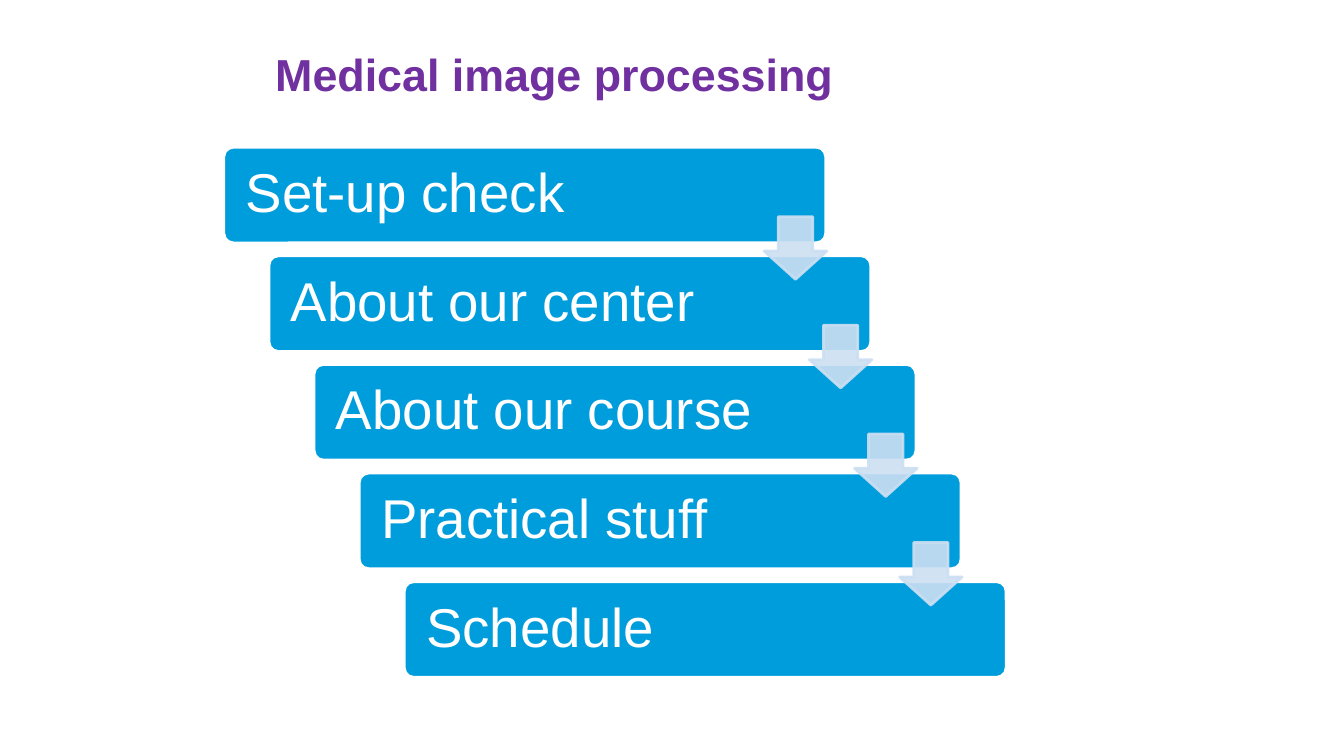
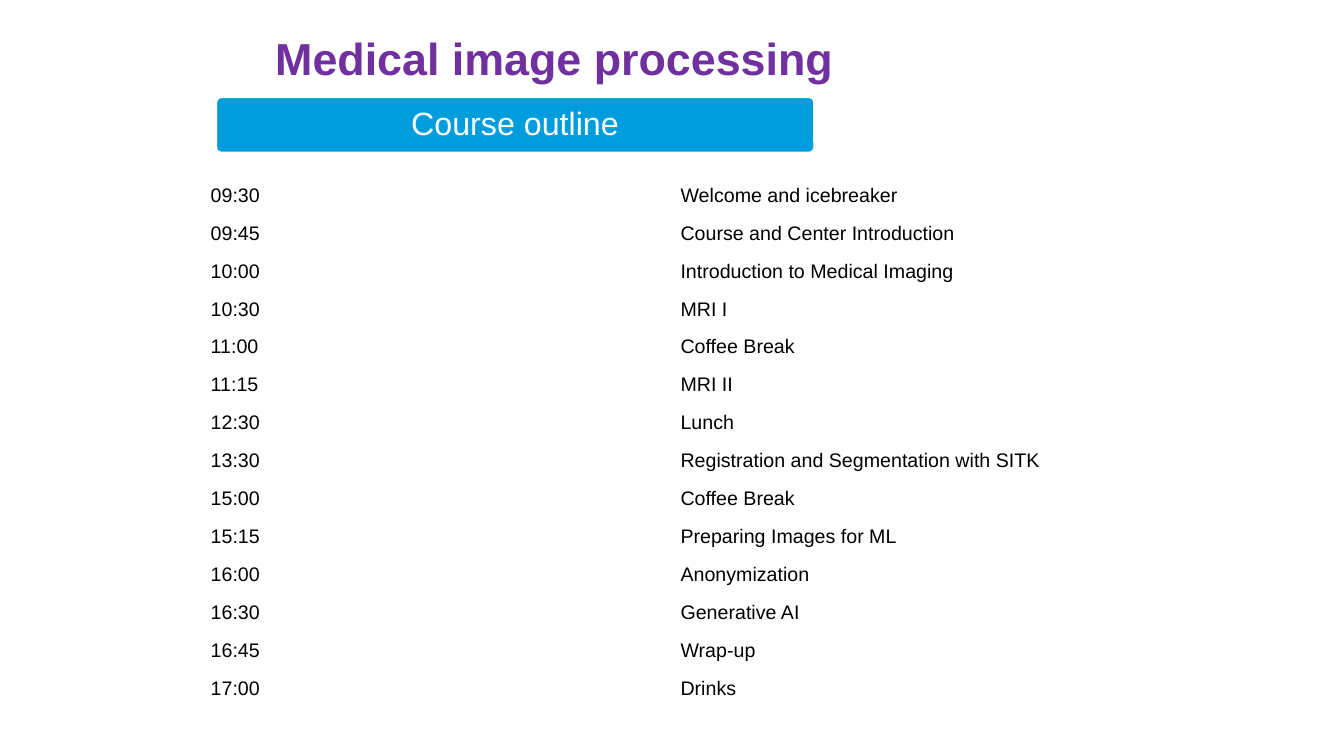
import pptx
import pptx.dml.color
import pptx.enum.shapes
import pptx.enum.text
import pptx.oxml
import pptx.oxml.ns
import pptx.util

SCALE = 9144
FONT = "Arial"
PURPLE, BLUE, PALE, WHITE, BLACK = "7030A0", "009DDD", "CCDFF2", "FFFFFF", "000000"
SHAPE = pptx.enum.shapes.MSO_SHAPE
ALIGN = pptx.enum.text.PP_ALIGN
ANCHOR = pptx.enum.text.MSO_ANCHOR

TITLE = "Medical image processing"
TOPICS = ["Set-up check", "About our center", "About our course", "Practical stuff", "Schedule"]
SCHEDULE = [
    ("09:30", "Welcome and icebreaker"),
    ("09:45", "Course and Center Introduction"),
    ("10:00", "Introduction to Medical Imaging"),
    ("10:30", "MRI I"),
    ("11:00", "Coffee Break"),
    ("11:15", "MRI II"),
    ("12:30", "Lunch"),
    ("13:30", "Registration and Segmentation with SITK"),
    ("15:00", "Coffee Break"),
    ("15:15", "Preparing Images for ML"),
    ("16:00", "Anonymization"),
    ("16:30", "Generative AI"),
    ("16:45", "Wrap-up"),
    ("17:00", "Drinks"),
]


def px(length):
    """Turn px into EMU."""
    return pptx.util.Emu(length * SCALE)


def color(code):
    """Turn a hex string into a colour."""
    return pptx.dml.color.RGBColor.from_string(code)


def apply(target, values):
    """Set each attribute of the target from a dict."""
    for name, value in values.items():
        setattr(target, name, value)


def margins(side, top):
    """Return equal side margins and equal top and bottom margins."""
    return {"margin_left": px(side), "margin_right": px(side),
            "margin_top": px(top), "margin_bottom": px(top)}


def write(frame, text, size, code, bold=False, **para_format):
    """Fill a text frame with one formatted paragraph."""
    para = frame.paragraphs[0]
    apply(para, {"alignment": ALIGN.LEFT, **para_format})
    span = para.add_run()
    span.text = text
    apply(span.font, {"name": FONT, "size": pptx.util.Pt(size), "bold": bold})
    span.font.color.rgb = color(code)


def add_title(page, box):
    """Place and format the title placeholder."""
    title = page.shapes.title
    apply(title, dict(zip(("left", "top", "width", "height"), map(px, box))))
    frame = title.text_frame
    apply(frame, {"word_wrap": True, "vertical_anchor": ANCHOR.TOP,
                  "auto_size": pptx.enum.text.MSO_AUTO_SIZE.NONE, **margins(10, 5)})
    write(frame, TITLE, 32, PURPLE, bold=True)


def add_block(page, kind, box, fill, line, adjustments):
    """Add a filled and outlined preset shape at an EMU box."""
    block = page.shapes.add_shape(kind, *box)
    block.shadow.inherit = False
    block.fill.solid()
    block.fill.fore_color.rgb = color(fill)
    block.line.color.rgb = color(line)
    block.line.width = pptx.util.Pt(2)
    for index, value in enumerate(adjustments):
        block.adjustments[index] = value
    return block


def add_bar(page, box, text, size, inset, alignment=ALIGN.LEFT):
    """Add a rounded blue bar with white text."""
    bar = add_block(page, SHAPE.ROUNDED_RECTANGLE, box, BLUE, WHITE, [0.1])
    frame = bar.text_frame
    apply(frame, {"word_wrap": True, "vertical_anchor": ANCHOR.MIDDLE, **margins(inset, inset)})
    write(frame, text, size, WHITE, alignment=alignment, line_spacing=0.9)


def add_arrow(page, box):
    """Add a slightly transparent down arrow."""
    arrow = add_block(page, SHAPE.DOWN_ARROW, box, PALE, PALE, [0.55, 0.45])
    for tint in arrow.element.spPr.iter(pptx.oxml.ns.qn("a:srgbClr")):
        alpha = pptx.oxml.parse_xml(f'<a:alpha {pptx.oxml.ns.nsdecls("a")} val="90000"/>')
        tint.append(alpha)


def add_staircase(page, box, topics):
    """Step the topic bars down across the box and link them with arrows."""
    left, top, width, height = map(px, box)
    bar_width, bar_height, arrow_side = px(597), px(95), px(62)
    gaps = len(topics) - 1
    step_x, step_y = (width - bar_width) // gaps, (height - bar_height) // gaps
    corners = [(left + i * step_x, top + i * step_y) for i in range(len(topics))]
    for (x, y), topic in zip(corners, topics):
        add_bar(page, (x, y, bar_width, bar_height), topic, 39, 19)
    for x, y in corners[:-1]:
        add_arrow(page, (x + px(536), y + px(69), arrow_side, arrow_side))


def add_schedule(page, box, rows):
    """Add the plain timetable with equal rows and columns."""
    holder = page.shapes.add_table(len(rows), len(rows[0]), *map(px, box))
    table = holder.table
    apply(table, {"first_row": False, "horz_banding": False})
    for row, texts in zip(table.rows, rows):
        row.height = px(box[3]) // len(rows)
        for cell, text in zip(row.cells, texts):
            cell.fill.background()
            apply(cell, {"vertical_anchor": ANCHOR.MIDDLE, **margins(8, 4)})
            write(cell.text_frame, text, 14, BLACK)


def add_page(deck, title_box):
    """Add a title-only slide with its title."""
    page = deck.slides.add_slide(deck.slide_layouts[5])
    add_title(page, title_box)
    return page


def topics_page(deck):
    """Build the slide with the stepped topics."""
    page = add_page(deck, (263, 41, 848, 111))
    add_staircase(page, (222, 146, 776, 526), TOPICS)


def outline_page(deck):
    """Build the slide with the course timetable."""
    page = add_page(deck, (263, 25, 857, 111))
    add_bar(page, tuple(map(px, (214, 96, 594, 56))), "Course outline", 23, 10, ALIGN.CENTER)
    add_schedule(page, (201, 175, 932, 527), SCHEDULE)


def main():
    """Build and save the deck."""
    deck = pptx.Presentation()
    apply(deck, {"slide_width": px(1333), "slide_height": px(750)})
    topics_page(deck)
    outline_page(deck)
    deck.save("out.pptx")


if __name__ == "__main__":
    main()
